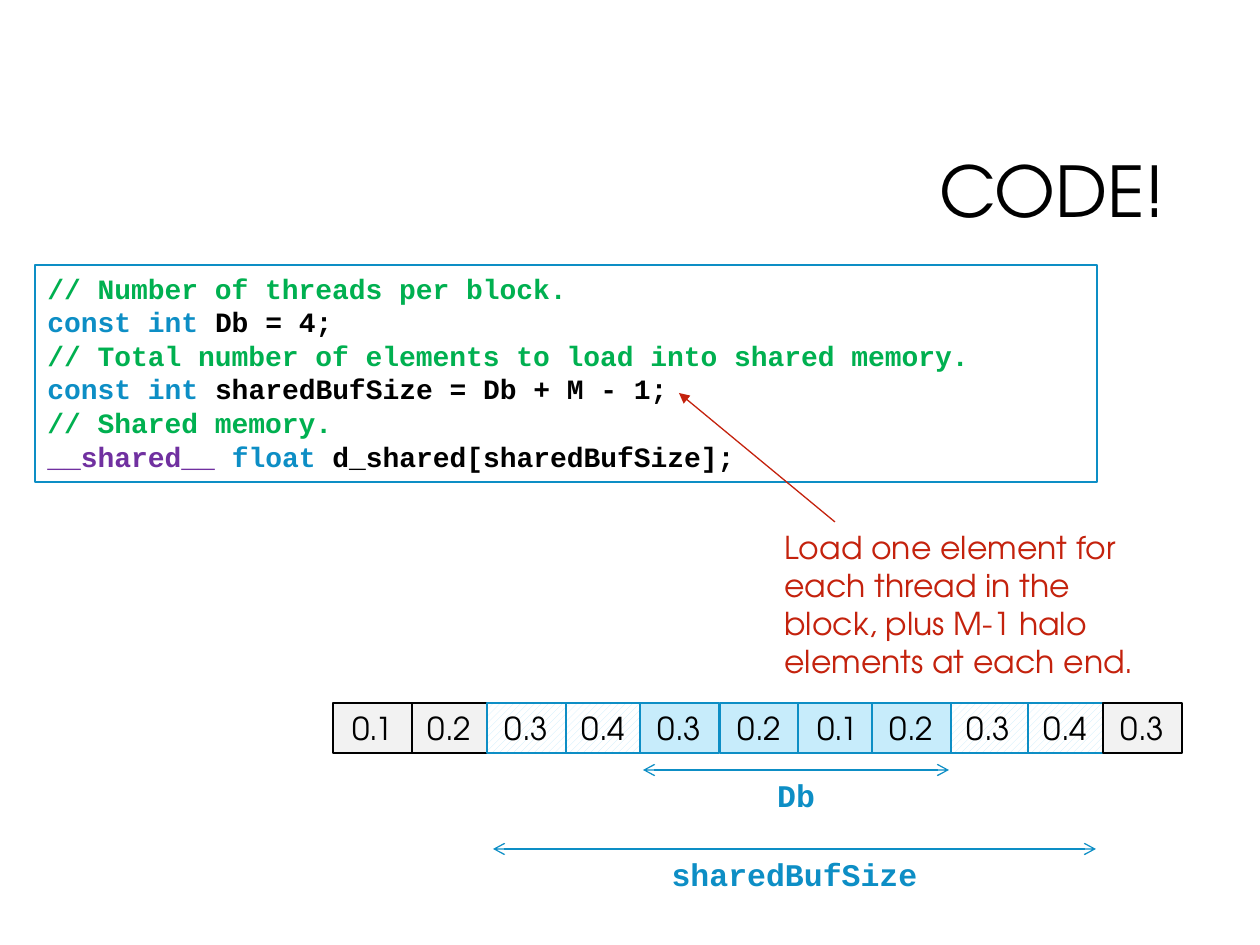
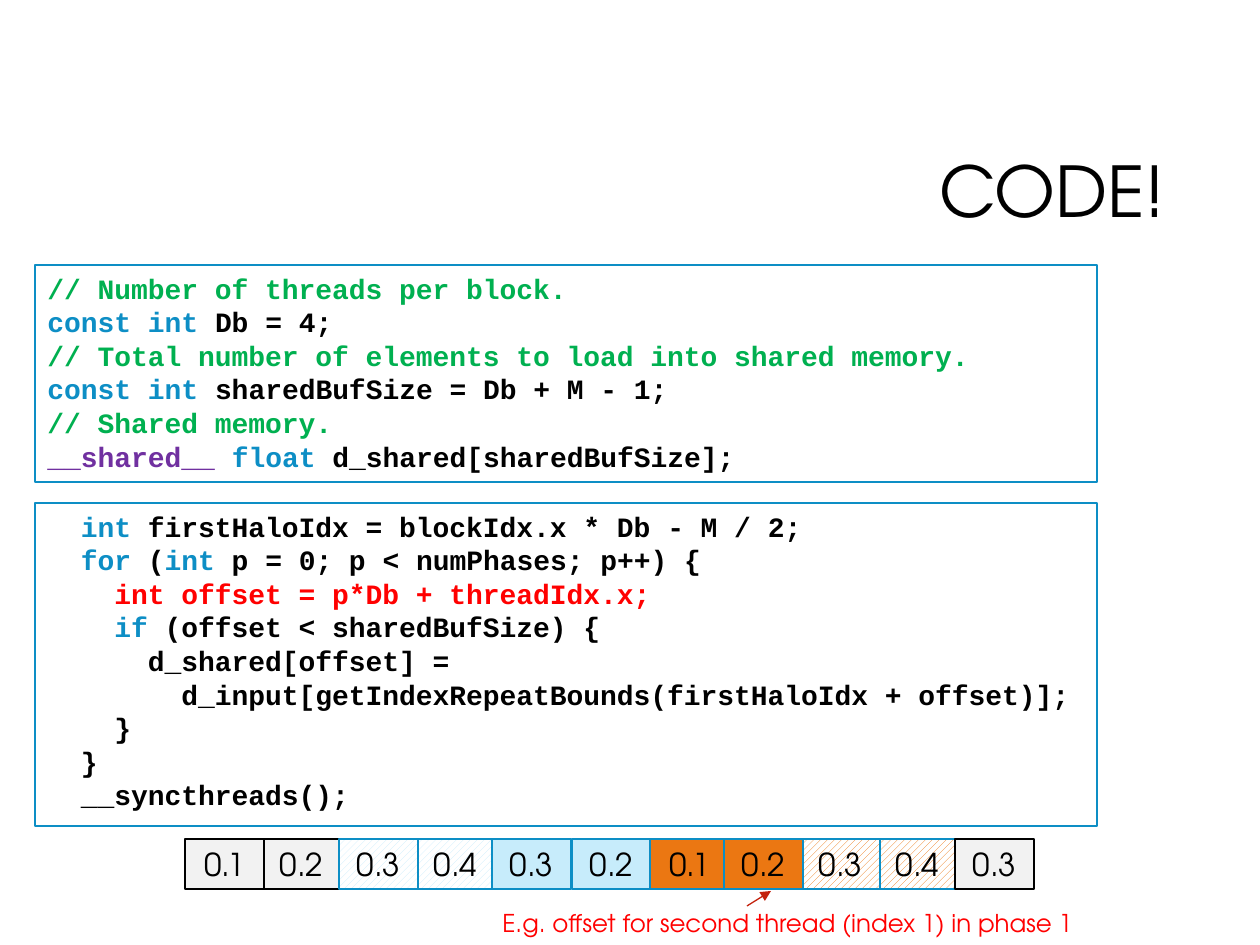
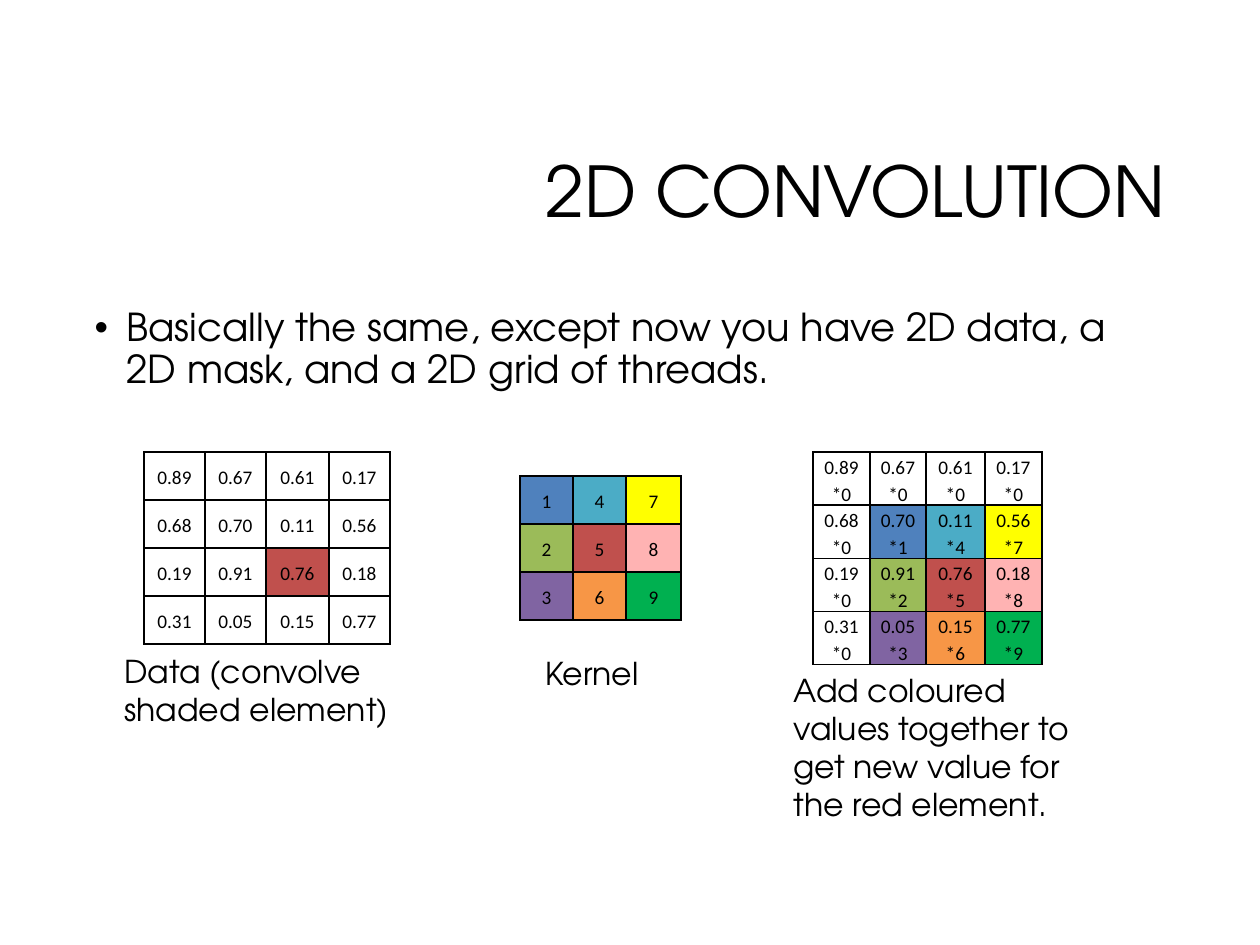
from lxml import etree
from pptx import Presentation
from pptx.dml.color import RGBColor
from pptx.enum.dml import MSO_PATTERN
from pptx.enum.shapes import MSO_CONNECTOR, MSO_SHAPE
from pptx.enum.text import MSO_ANCHOR, MSO_AUTO_SIZE, PP_ALIGN
from pptx.oxml.ns import qn
from pptx.util import Pt

LEFT, CENTER, RIGHT = PP_ALIGN.LEFT, PP_ALIGN.CENTER, PP_ALIGN.RIGHT
TOP, MIDDLE = MSO_ANCHOR.TOP, MSO_ANCHOR.MIDDLE
GROW, FIXED = MSO_AUTO_SIZE.SHAPE_TO_FIT_TEXT, MSO_AUTO_SIZE.NONE
RECTANGLE, STRAIGHT = MSO_SHAPE.RECTANGLE, MSO_CONNECTOR.STRAIGHT
HATCH = MSO_PATTERN.WIDE_UPWARD_DIAGONAL

EMU_PER_PX = 914400 / 126
PAGE_WIDTH, PAGE_HEIGHT = 1260, 945
TITLE_ONLY, TITLE_AND_BODY = 5, 1

SANS, MONO, TABLE_FONT = "TeX Gyre Adventor", "Courier New", "Calibri"
BLACK, WHITE, GREY = "000000", "FFFFFF", "F2F2F2"
BLUE, PALE_BLUE, ORANGE = "0D8EC5", "C7ECFB", "EB7712"
GREEN, PURPLE, RED, BRICK = "00B050", "7030A0", "FF0000", "C4220D"

# Code listings: lines of (text, colour) pieces
SETUP_CODE = [
    [("// Number of threads per block.", GREEN)],
    [("const int ", BLUE), ("Db = 4;", BLACK)],
    [("// Total number of elements to load into shared memory.", GREEN)],
    [("const int ", BLUE), ("sharedBufSize = Db + M - 1;", BLACK)],
    [("// Shared memory.", GREEN)],
    [("__shared__ ", PURPLE), ("float ", BLUE), ("d_shared[sharedBufSize];", BLACK)],
]
LOAD_CODE = [
    [("  int ", BLUE), ("firstHaloIdx = blockIdx.x * Db - M / 2;", BLACK)],
    [("  for", BLUE), (" (", BLACK), ("int", BLUE),
     (" p = 0; p < numPhases; p++) {", BLACK)],
    [("    ", BLACK), ("int offset = p*Db + threadIdx.x;", RED)],
    [("    ", BLACK), ("if", BLUE), (" (offset < sharedBufSize) {", BLACK)],
    [("      d_shared[offset] =", BLACK)],
    [("        d_input[getIndexRepeatBounds(firstHaloIdx + offset)];", BLACK)],
    [("    }", BLACK)],
    [("  }", BLACK)],
    [("  __syncthreads();", BLACK)],
]

# Input array: values, offsets from the row's left edge, stacking order
ARRAY_VALUES = ("0.1", "0.2", "0.3", "0.4", "0.3", "0.2", "0.1", "0.2", "0.3", "0.4", "0.3")
ARRAY_OFFSETS = (0, 77, 154, 231, 307, 387, 465, 539, 616, 693, 770)
ARRAY_STACKING = (1, 3, 9, 8, 10, 2, 0, 4, 5, 6, 7)
HALO = (2, 3, 8, 9)
OUTSIDE = (0, 1, 10)
CELL_WIDTH, CELL_HEIGHT = 79, 50

# Convolution data
DATA = [["0.89", "0.67", "0.61", "0.17"],
        ["0.68", "0.70", "0.11", "0.56"],
        ["0.19", "0.91", "0.76", "0.18"],
        ["0.31", "0.05", "0.15", "0.77"]]
KERNEL = [[1, 4, 7], [2, 5, 8], [3, 6, 9]]
WEIGHT_COLORS = [None, "4F81BD", "9BBB59", "8064A2", "4BACC6", "C0504D",
                 "F79646", "FFFF00", "FFB3B3", "00B050"]
ROW_HEIGHT = 48


def px(length):
    return round(length * EMU_PER_PX)


def color(hex_string):
    return RGBColor.from_string(hex_string)


def style_font(font, name, size, hex_string, bold=False):
    font.name, font.size, font.bold = name, Pt(size), bold
    font.color.rgb = color(hex_string)


def style_frame(frame, anchor=TOP, auto_size=GROW):
    frame.word_wrap = True
    frame.auto_size = auto_size
    frame.vertical_anchor = anchor


def add_label(page, box, text, size=18, hex_string=BLACK, name=SANS, align=LEFT, bold=False):
    frame = page.shapes.add_textbox(*map(px, box)).text_frame
    style_frame(frame)
    frame.text = text
    para = frame.paragraphs[0]
    para.alignment = align
    style_font(para.runs[0].font, name, size, hex_string, bold)


def add_rectangle(page, box, line_color, line_width):
    shape = page.shapes.add_shape(RECTANGLE, *map(px, box))
    shape.shadow.inherit = False
    shape.line.color.rgb = color(line_color)
    shape.line.width = Pt(line_width)
    style_frame(shape.text_frame)
    return shape


def add_arrow(page, start, end, hex_string, **ends):
    arrow = page.shapes.add_connector(STRAIGHT, *map(px, start + end))
    arrow.line.color.rgb = color(hex_string)
    arrow.line.width = Pt(0.75)
    line = arrow.line._get_or_add_ln()
    for tag, kind in ends.items():
        etree.SubElement(line, qn(f"a:{tag}"), type=kind)
    etree.SubElement(line.getparent(), qn("a:effectLst"))


def fill_placeholder(holder, box, text, size, anchor):
    holder.left, holder.top, holder.width, holder.height = map(px, box)
    frame = holder.text_frame
    style_frame(frame, anchor, FIXED)
    frame.text = text
    para = frame.paragraphs[0]
    para.line_spacing = 0.9
    para.space_before = Pt(0)
    style_font(para.runs[0].font, SANS, size, BLACK)
    return para


def add_page(deck, layout, title):
    page = deck.slides.add_slide(deck.slide_layouts[layout])
    para = fill_placeholder(page.shapes.title, (300, 106, 878, 178), title, 40, MIDDLE)
    para.alignment = RIGHT
    return page


def add_bullet(page, box, text):
    para = fill_placeholder(page.placeholders[1], box, text, 22, TOP)
    properties = para._p.get_or_add_pPr()
    properties.set("marL", str(px(32)))
    properties.set("indent", str(px(-32)))
    etree.SubElement(properties, qn("a:buFont"), typeface="Arial")
    etree.SubElement(properties, qn("a:buChar"), char="•")


def add_code(page, box, lines):
    shape = add_rectangle(page, box, BLUE, 1.5)
    shape.fill.background()
    frame = shape.text_frame
    for index, line in enumerate(lines):
        para = frame.add_paragraph() if index else frame.paragraphs[0]
        para.alignment = LEFT
        for text, hex_string in line:
            span = para.add_run()
            span.text = text
            style_font(span.font, MONO, 16, hex_string, bold=True)


def add_array(page, left, top, loaded=()):
    """Draw the input array; cells in `loaded` are orange."""
    for index in ARRAY_STACKING:
        outside = index in OUTSIDE
        box = (left + ARRAY_OFFSETS[index], top, CELL_WIDTH, CELL_HEIGHT)
        shape = add_rectangle(page, box, BLACK if outside else BLUE, 0.75)
        tint = GREY if outside else ORANGE if index in loaded else PALE_BLUE
        if index in HALO:
            shape.fill.patterned()
            shape.fill.pattern = HATCH
            shape.fill.back_color.rgb = color(WHITE)
        else:
            shape.fill.solid()
        shape.fill.fore_color.rgb = color(tint)
        shape.text_frame.text = ARRAY_VALUES[index]
        para = shape.text_frame.paragraphs[0]
        para.alignment = CENTER
        style_font(para.runs[0].font, SANS, 18, BLACK)


def add_extent(page, left, top, width, label):
    """Draw a two-headed arrow with its label centred below."""
    add_arrow(page, (left, top), (left + width, top), BLUE, headEnd="arrow", tailEnd="arrow")
    add_label(page, (left, top, width, CELL_HEIGHT), label, 18, BLUE, MONO, CENTER, bold=True)


def add_cell_borders(cell):
    properties = cell._tc.get_or_add_tcPr()
    for side in ("lnL", "lnR", "lnT", "lnB"):
        line = etree.SubElement(properties, qn(f"a:{side}"), w=str(Pt(1)))
        fill = etree.SubElement(line, qn("a:solidFill"))
        etree.SubElement(fill, qn("a:srgbClr"), val=BLACK)


def add_grid(page, left, top, widths, rows):
    """Draw a table of (text, fill colour or None) cells."""
    box = (left, top, sum(widths), ROW_HEIGHT * len(rows))
    table = page.shapes.add_table(len(rows), len(widths), *map(px, box)).table
    table.first_row = table.horz_banding = False
    for column, width in zip(table.columns, widths):
        column.width = px(width)
    for row, values in zip(table.rows, rows):
        row.height = px(ROW_HEIGHT)
        for cell, (text, tint) in zip(row.cells, values):
            add_cell_borders(cell)
            if tint:
                cell.fill.solid()
                cell.fill.fore_color.rgb = color(tint)
            else:
                cell.fill.background()
            cell.margin_left = cell.margin_right = px(9)
            cell.margin_top = cell.margin_bottom = 0
            cell.vertical_anchor = MIDDLE
            cell.text = text
            para = cell.text_frame.paragraphs[0]
            para.alignment = CENTER
            para.line_spacing = 1.15
            style_font(para.runs[0].font, TABLE_FONT, 11, BLACK)


def add_code_page(deck):
    page = add_page(deck, TITLE_ONLY, "CODE!")
    add_code(page, (35, 265, 1062, 217), SETUP_CODE)
    return page


def build_buffer_size(deck):
    page = add_code_page(deck)
    # Note on the buffer size
    add_arrow(page, (835, 522), (679, 393), BRICK, tailEnd="triangle")
    add_label(page, (772, 522, 387, 165),
              "Load one element for each thread in the block, plus M-1 halo elements at each end.",
              hex_string=BRICK)
    # Array and its extents
    left, top = 333, 703
    add_array(page, left, top)
    add_extent(page, left + 310, top + 67, 306, "Db")
    add_extent(page, left + 160, top + 146, 603, "sharedBufSize")


def build_loading(deck):
    page = add_code_page(deck)
    add_code(page, (35, 503, 1062, 323), LOAD_CODE)
    add_label(page, (490, 902, 716, 43),
              "E.g. offset for second thread (index 1) in phase 1", 14, RED)
    add_arrow(page, (747, 906), (771, 891), BRICK, tailEnd="triangle")
    add_array(page, 185, 839, loaded=(6, 7, 8, 9))


def build_convolution(deck):
    page = add_page(deck, TITLE_AND_BODY, "2D CONVOLUTION")
    add_bullet(page, (82, 302, 1096, 111),
               "Basically the same, except now you have 2D data, a 2D mask, and a 2D grid of threads.")
    # Data, with the kernel's centre shaded
    data_rows = [[(value, WEIGHT_COLORS[5] if (row, column) == (2, 2) else None)
                  for column, value in enumerate(values)]
                 for row, values in enumerate(DATA)]
    add_grid(page, 144, 452, (61, 61, 63, 61), data_rows)
    add_label(page, (112, 646, 309, 89), "Data (convolve shaded element)")
    # Kernel
    kernel_rows = [[(str(weight), WEIGHT_COLORS[weight]) for weight in weights]
                   for weights in KERNEL]
    add_grid(page, 520, 476, (53, 53, 55), kernel_rows)
    add_label(page, (533, 648, 137, 50), "Kernel")
    # Products: the kernel covers all but the first row and column
    weights = [[0] * 4] + [[0] + row for row in KERNEL]
    product_rows = [[(f"{value}*{weight}", WEIGHT_COLORS[weight])
                     for value, weight in zip(*pair)]
                    for pair in zip(DATA, weights)]
    add_grid(page, 813, 452, (57, 56, 59, 57), product_rows)
    add_label(page, (781, 665, 309, 165),
              "Add coloured values together to get new value for the red element.")


def main():
    deck = Presentation()
    deck.slide_width, deck.slide_height = px(PAGE_WIDTH), px(PAGE_HEIGHT)
    build_buffer_size(deck)
    build_loading(deck)
    build_convolution(deck)
    deck.save("out.pptx")


if __name__ == "__main__":
    main()
